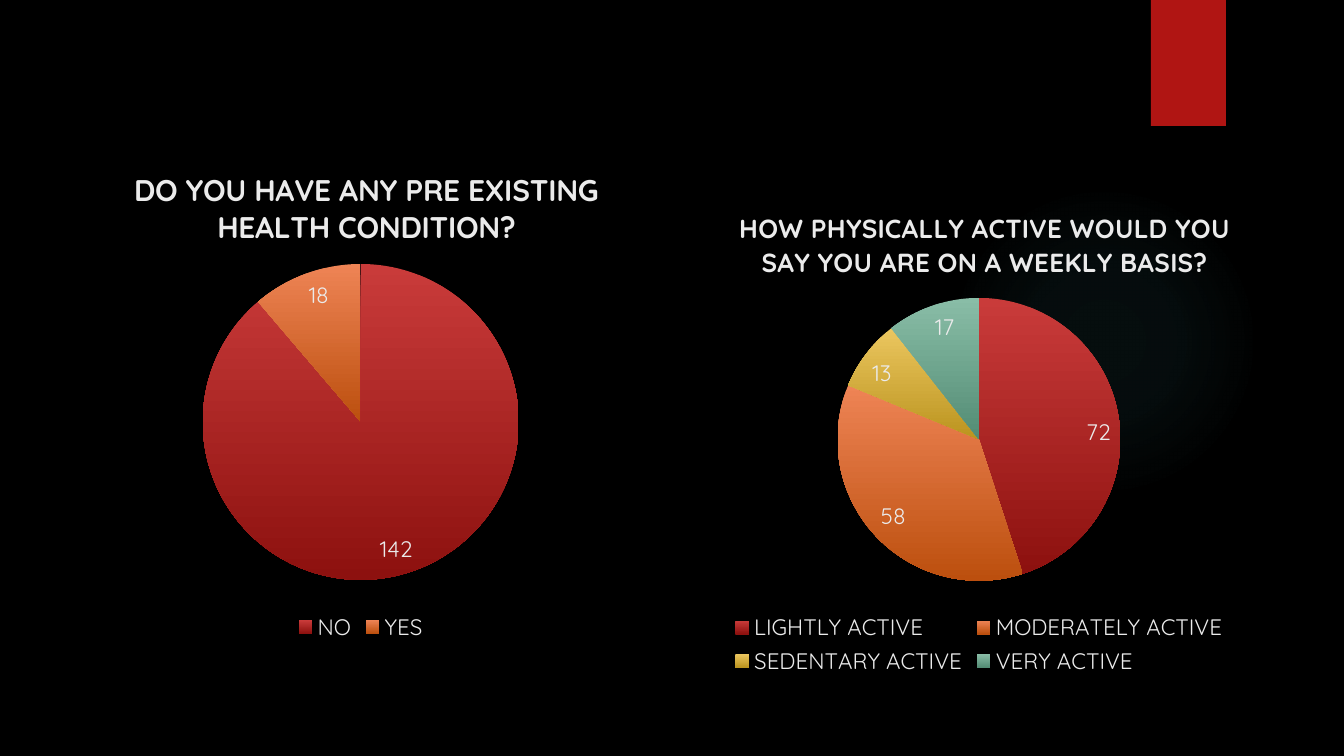
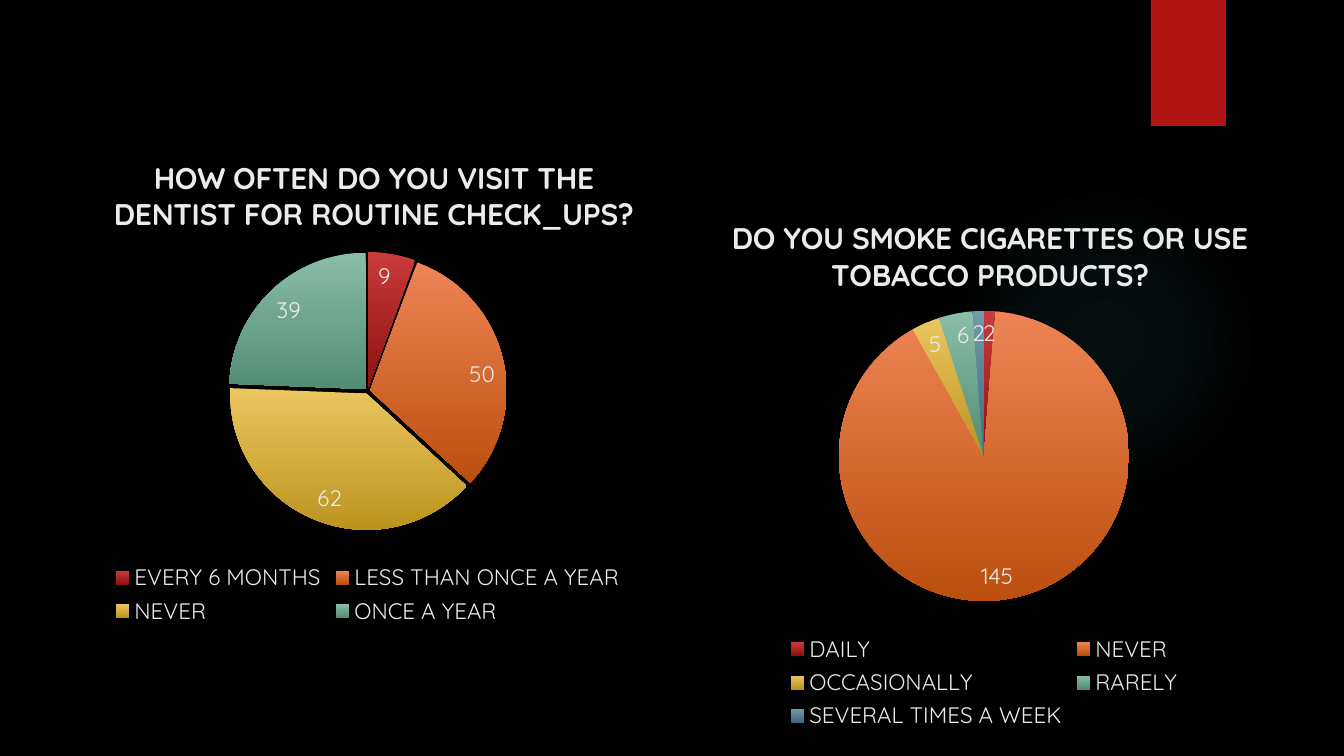
from lxml import etree
from pptx import Presentation
from pptx.chart.data import CategoryChartData
from pptx.dml.color import RGBColor
from pptx.enum.chart import XL_CHART_TYPE as ChartType
from pptx.enum.chart import XL_LABEL_POSITION as LabelPosition
from pptx.enum.chart import XL_LEGEND_POSITION as LegendPosition
from pptx.enum.shapes import MSO_SHAPE as Shape
from pptx.oxml import parse_xml
from pptx.oxml.ns import nsdecls, qn
from pptx.util import Pt

FONT = "Quicksand"
BLACK, WHITE, PALE, RED, TEAL = "000000", "FFFFFF", "EBEBEB", "B01513", "50B9C1"
SLICE_GRADIENTS = [
    ("C93B3A", "8D110F"),
    ("EE8455", "BC4F0E"),
    ("EBC65F", "BB941F"),
    ("89BDA7", "538C74"),
    ("7198AB", "436A7C"),
]
GLOW_STOPS = [(0, 7), (36, 6), (69, 0)]

SLIDES = [
    [
        {
            "question": "DO YOU HAVE ANY PRE EXISTING HEALTH CONDITION?",
            "answers": {"NO": 142, "YES": 18},
            "frame": (26.6, 73.4, 333.4, 272.9),
            "title": (248.6, 87.6, 16),
            "pie": (226.1, 169.3),
            "explosion": 0,
        },
        {
            "question": "HOW PHYSICALLY ACTIVE WOULD YOU SAY YOU ARE ON A WEEKLY BASIS?",
            "answers": {"LIGHTLY ACTIVE": 72, "MODERATELY ACTIVE": 58,
                        "SEDENTARY ACTIVE": 13, "VERY ACTIVE": 17},
            "frame": (342, 95.8, 365, 268.6),
            "title": (262, 109.3, 14),
            "pie": (235.4, 151.6),
            "explosion": 0,
        },
    ],
    [
        {
            "question": "HOW OFTEN DO YOU VISIT THE DENTIST FOR ROUTINE CHECK_UPS?",
            "answers": {"EVERY 6 MONTHS": 9, "LESS THAN ONCE A YEAR": 50,
                        "NEVER": 62, "ONCE A YEAR": 39},
            "frame": (11.5, 67, 370.8, 270.7),
            "title": (277.5, 80.9, 16),
            "pie": (209.5, 149),
            "explosion": 2,
        },
        {
            "question": "DO YOU SMOKE CIGARETTES OR USE TOBACCO PRODUCTS?",
            "answers": {"DAILY": 2, "NEVER": 145, "OCCASIONALLY": 5,
                        "RARELY": 6, "SEVERAL TIMES A WEEK": 2},
            "frame": (308.2, 98.6, 437.8, 295.2),
            "title": (275.9, 113.3, 16),
            "pie": (244.3, 155.4),
            "explosion": 0,
        },
    ],
]


def style_font(font, size, color, bold=False):
    font.name = FONT
    font.size = Pt(size)
    font.bold = bold
    font.color.rgb = RGBColor.from_string(color)


def set_layout(parent, position, **settings):
    for old_layout in parent.findall(qn("c:layout")):
        parent.remove(old_layout)
    layout = etree.Element(qn("c:layout"))
    manual = etree.SubElement(layout, qn("c:manualLayout"))
    for tag, value in settings.items():
        etree.SubElement(manual, qn(f"c:{tag}")).set("val", str(value))
    parent.insert(position, layout)


deck = Presentation()
deck.slide_width, deck.slide_height = Pt(720), Pt(405)

for surveys in SLIDES:
    slide = deck.slides.add_slide(deck.slide_layouts[6])
    slide.background.fill.solid()
    slide.background.fill.fore_color.rgb = RGBColor.from_string(BLACK)

    glow = slide.shapes.add_shape(Shape.OVAL, Pt(508.3), Pt(99.4), Pt(166.3), Pt(166.3))
    glow.shadow.inherit = False
    glow.line.fill.background()
    stops = "".join(
        f'<a:gs pos="{place * 1000}"><a:srgbClr val="{TEAL}">'
        f'<a:alpha val="{alpha * 1000}"/></a:srgbClr></a:gs>'
        for place, alpha in GLOW_STOPS
    )
    glow.element.spPr.find(qn("a:prstGeom")).addnext(parse_xml(
        f'<a:gradFill {nsdecls("a")}><a:gsLst>{stops}</a:gsLst><a:path path="circle">'
        '<a:fillToRect l="50000" t="50000" r="50000" b="50000"/></a:path></a:gradFill>'
    ))

    ribbon = slide.shapes.add_shape(Shape.RECTANGLE, Pt(616.5), Pt(0), Pt(40.3), Pt(67.5))
    ribbon.shadow.inherit = False
    ribbon.fill.solid()
    ribbon.fill.fore_color.rgb = RGBColor.from_string(RED)
    ribbon.line.fill.background()
    ribbon.element.spPr.find(qn("a:effectLst")).append(parse_xml(
        f'<a:outerShdw {nsdecls("a")} blurRad="{Pt(3)}" dist="{Pt(2)}" dir="5400000" '
        f'rotWithShape="0"><a:srgbClr val="{BLACK}"><a:alpha val="45000"/></a:srgbClr>'
        '</a:outerShdw>'
    ))

    for survey in surveys:
        left, top, width, height = survey["frame"]
        title_width, title_top, title_size = survey["title"]
        pie_middle, pie_size = survey["pie"]

        responses = CategoryChartData()
        responses.categories = list(survey["answers"])
        responses.add_series("Series 1", list(survey["answers"].values()))
        chart = slide.shapes.add_chart(
            ChartType.PIE, Pt(left), Pt(top), Pt(width), Pt(height), responses
        ).chart
        style_font(chart.font, 10, WHITE)

        chart.has_title = True
        question = chart.chart_title.text_frame
        question.text = survey["question"]
        style_font(question.paragraphs[0].runs[0].font, title_size, PALE, bold=True)
        set_layout(
            chart.chart_title._element, 1, xMode="edge", yMode="edge",
            x=round((1 - title_width / width) / 2, 4),
            y=round((title_top - top) / height, 4),
        )

        chart.has_legend = True
        chart.legend.position = LegendPosition.BOTTOM
        chart.legend.include_in_layout = False
        style_font(chart.legend.font, 12, PALE)

        pie = chart.plots[0]
        pie.vary_by_categories = True
        set_layout(
            pie._element.getparent(), 0, layoutTarget="inner", xMode="edge", yMode="edge",
            x=round((1 - pie_size / width) / 2, 4),
            y=round((pie_middle - pie_size / 2 - top) / height, 4),
            w=round(pie_size / width, 4),
            h=round(pie_size / height, 4),
        )
        pie.has_data_labels = True
        counts = pie.data_labels
        counts.show_value = True
        counts.show_percentage = False
        counts.position = LabelPosition.INSIDE_END
        style_font(counts.font, 12, PALE)

        answers = pie.series[0]
        for index, gradient in zip(range(len(survey["answers"])), SLICE_GRADIENTS):
            fill = answers.points[index].format.fill
            fill.gradient()
            fill.gradient_angle = 270
            for stop, color in zip(fill.gradient_stops, gradient):
                stop.color.rgb = RGBColor.from_string(color)
        if survey["explosion"]:
            explosion = etree.Element(qn("c:explosion"))
            explosion.set("val", str(survey["explosion"]))
            answers._element.find(qn("c:dPt")).addprevious(explosion)

deck.save("out.pptx")
